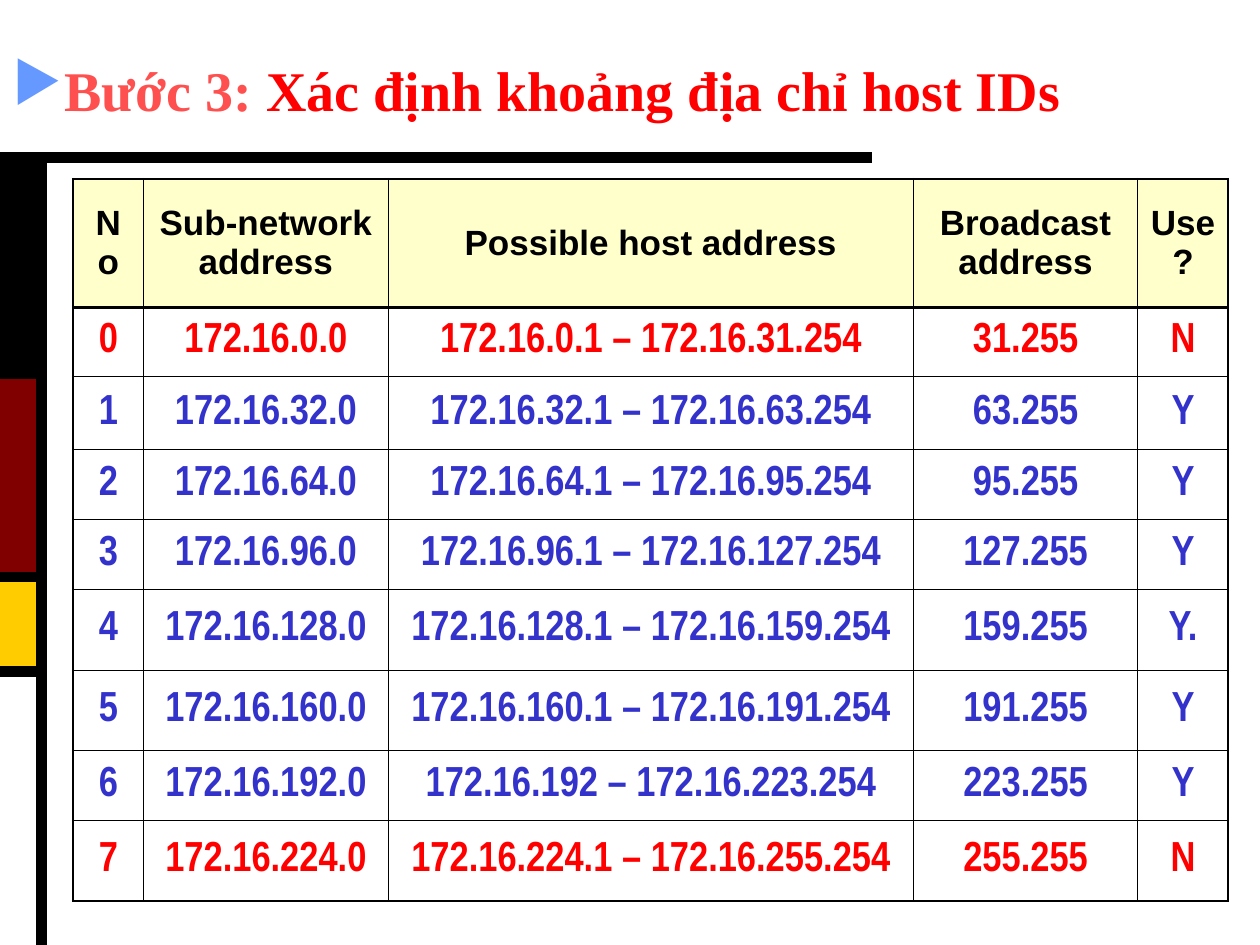
from typing import NamedTuple

from lxml.etree import SubElement as Sub
from pptx import Presentation
from pptx.dml.color import RGBColor
from pptx.enum.shapes import MSO_CONNECTOR as Conn, MSO_SHAPE as Shape
from pptx.enum.text import MSO_ANCHOR as Anchor, PP_ALIGN as Align
from pptx.oxml.ns import qn
from pptx.util import Inches, Pt


class Block(NamedTuple):
    top: float
    high: float
    fill: str


class Rule(NamedTuple):
    x1: float
    y1: float
    x2: float
    y2: float


class Style(NamedTuple):
    font: str
    size: int
    color: str
    gap: int


BAR = 0.33
BLACK = "000000"
RED = "FF0000"
THICK, THIN = 1.47, 0.45
BLOCKS = [
    Block(3, 1.58, "800000"),
    Block(4.58, 0.75, "FFCC00"),
    Block(1.25, 1.75, BLACK),
]
RULES = [
    Rule(0, 1.25, 6.92, 1.25),
    Rule(BAR, 1.25, BAR, 7.5),
    Rule(0, 4.58, BAR, 4.58),
    Rule(0, 5.33, BAR, 5.33),
]
COLS = [0.56, 1.94, 4.17, 1.78, 0.72]
HIGHS = [1.02, 0.55, 0.58, 0.55, 0.56, 0.64, 0.64, 0.55, 0.64]
ROWS = [
    ("No", "Sub-network address", "Possible host address", "Broadcast address", "Use?"),
    ("0", "172.16.0.0", "172.16.0.1 – 172.16.31.254", "31.255", "N"),
    ("1", "172.16.32.0", "172.16.32.1 – 172.16.63.254", "63.255", "Y"),
    ("2", "172.16.64.0", "172.16.64.1 – 172.16.95.254", "95.255", "Y"),
    ("3", "172.16.96.0", "172.16.96.1 – 172.16.127.254", "127.255", "Y"),
    ("4", "172.16.128.0", "172.16.128.1 – 172.16.159.254", "159.255", "Y."),
    ("5", "172.16.160.0", "172.16.160.1 – 172.16.191.254", "191.255", "Y"),
    ("6", "172.16.192.0", "172.16.192 – 172.16.223.254", "223.255", "Y"),
    ("7", "172.16.224.0", "172.16.224.1 – 172.16.255.254", "255.255", "N"),
]
HEAD = Style("Arial", 20, BLACK, 5)
OPEN = Style("Arial Narrow", 24, "3333CC", 6)
SHUT = OPEN._replace(color=RED)


def rgb(code: str) -> RGBColor:
    return RGBColor.from_string(code)


def paint(fill, code: str) -> None:
    fill.solid()
    fill.fore_color.rgb = rgb(code)


def add_block(slide, block: Block) -> None:
    box = slide.shapes.add_shape(
        Shape.RECTANGLE, 0, Inches(block.top), Inches(BAR), Inches(block.high))
    box.shadow.inherit = False
    paint(box.fill, block.fill)
    box.line.color.rgb = rgb(block.fill)
    box.line.width = Pt(0.25)


def add_rule(slide, rule: Rule) -> None:
    line = slide.shapes.add_connector(Conn.STRAIGHT, *map(Inches, rule))
    line.line.color.rgb = rgb(BLACK)
    line.line.width = Pt(6)
    Sub(line._element.spPr, qn("a:effectLst"))


def set_title(slide) -> None:
    title = slide.shapes.title
    title.left, title.top = Inches(0), Inches(0.33)
    title.width, title.height = Inches(10), Inches(0.75)
    title.text_frame.vertical_anchor = Anchor.MIDDLE
    para = title.text_frame.paragraphs[0]
    para.alignment = Align.LEFT
    props = para._p.get_or_add_pPr()
    Sub(Sub(props, qn("a:buClr")), qn("a:srgbClr"), val="6699FF")
    Sub(props, qn("a:buChar"), char="▶")
    para.font.name = "Times New Roman"
    para.font.size = Pt(32)
    para.font.bold = True
    for text, code in [("Bước 3: ", "FF5050"), ("Xác định khoảng địa chỉ host IDs", RED)]:
        run = para.add_run()
        run.text = text
        run.font.color.rgb = rgb(code)


def set_edge(cell, side: str, width: float) -> None:
    edge = Sub(cell._tc.get_or_add_tcPr(), qn(f"a:ln{side}"), w=str(Pt(width)))
    Sub(Sub(edge, qn("a:solidFill")), qn("a:srgbClr"), val=BLACK)


def set_text(cell, text: str, style: Style) -> None:
    cell.text = text
    cell.vertical_anchor = Anchor.MIDDLE
    para = cell.text_frame.paragraphs[0]
    para.alignment = Align.CENTER
    para.space_before = Pt(style.gap)
    para.font.name = style.font
    para.font.size = Pt(style.size)
    para.font.bold = True
    para.font.color.rgb = rgb(style.color)


def add_grid(slide) -> None:
    grid = slide.shapes.add_table(
        len(ROWS), len(COLS), Inches(0.58), Inches(1.42),
        Inches(sum(COLS)), Inches(sum(HIGHS))).table
    grid.first_row = grid.horz_banding = False
    for col, wide in zip(grid.columns, COLS):
        col.width = Inches(wide)
    for r, (row, high) in enumerate(zip(ROWS, HIGHS)):
        grid.rows[r].height = Inches(high)
        style = HEAD if r == 0 else SHUT if row[-1] == "N" else OPEN
        for c, text in enumerate(row):
            cell = grid.cell(r, c)
            set_text(cell, text, style)
            bold = {
                "L": c == 0,
                "R": c == len(COLS) - 1,
                "T": r < 2,
                "B": r in (0, len(ROWS) - 1),
            }
            for side, thick in bold.items():
                set_edge(cell, side, THICK if thick else THIN)
            if r == 0:
                paint(cell.fill, "FFFFCC")
            else:
                cell.fill.background()


def main() -> None:
    deck = Presentation()
    deck.slide_width, deck.slide_height = Inches(10), Inches(7.5)
    slide = deck.slides.add_slide(deck.slide_layouts[5])
    set_title(slide)
    for block in BLOCKS:
        add_block(slide, block)
    for rule in RULES:
        add_rule(slide, rule)
    add_grid(slide)
    deck.save("out.pptx")


if __name__ == "__main__":
    main()
